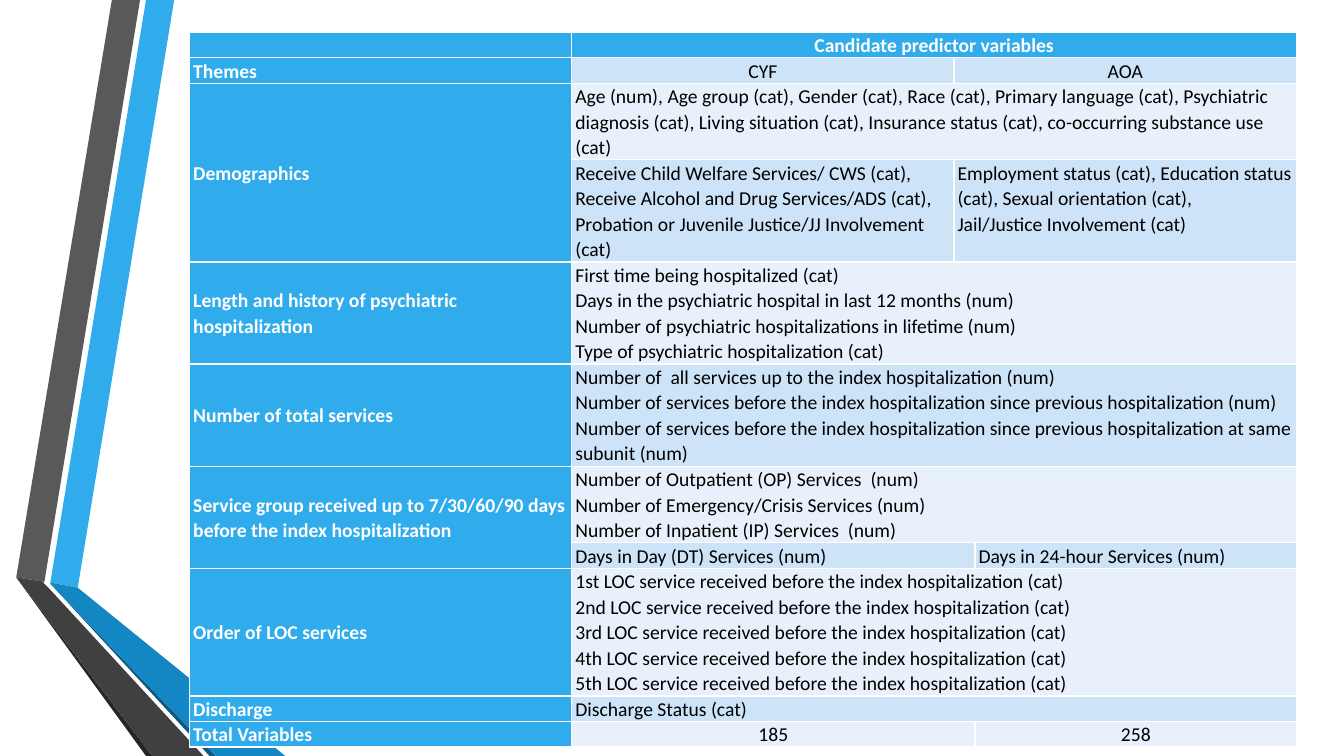
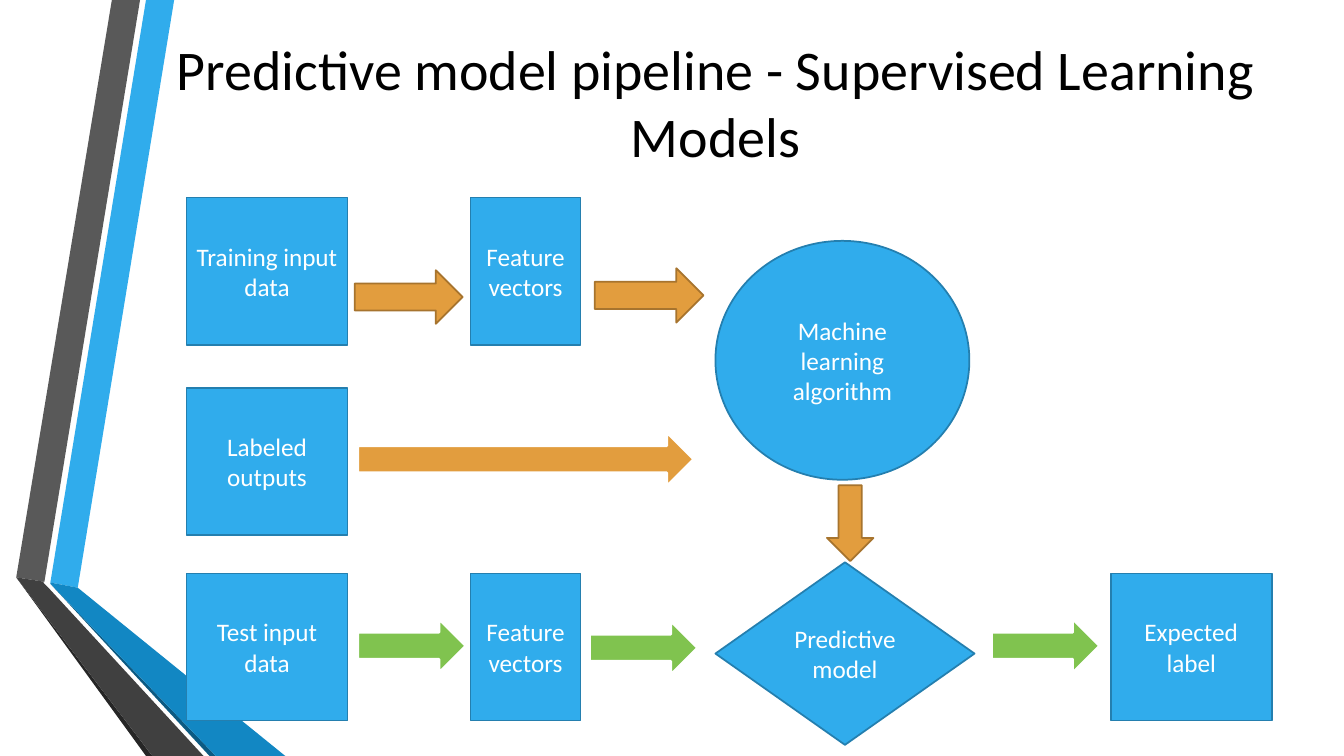
"""Build two slides: the candidate predictor table and the predictive model pipeline."""
from lxml.etree import SubElement
from pptx import Presentation
from pptx.dml.color import RGBColor
from pptx.enum.shapes import MSO_SHAPE
from pptx.enum.text import MSO_ANCHOR, PP_ALIGN
from pptx.oxml.ns import qn
from pptx.util import Cm, Pt

COLORS = {
    "blue": "30ACEC", "blue edge": "247FAF", "deep blue": "1287C3", "navy": "0C5A82",
    "gray": "595959", "dark gray": "404040", "charcoal": "262626",
    "band": "CDE3F8", "pale band": "E8F1FB",
    "orange": "E29D3E", "orange edge": "A7742E", "green": "80C34F",
    "white": "FFFFFF", "black": "000000",
}
TITLE = {"name": "Calibri", "size": Pt(40), "bold": False}
NODE = {"name": "Calibri", "size": Pt(18), "bold": False}
THEME = {"name": "Calibri", "size": Pt(14), "bold": True}
VARIABLE = {"name": "Calibri", "size": Pt(14), "bold": False}


def write(frame, text, font_format, color, align=PP_ALIGN.CENTER, spacing=None):
    frame.text = text
    frame.word_wrap = True
    for paragraph in frame.paragraphs:
        paragraph.alignment = align
        paragraph.line_spacing = spacing
        for attribute, value in font_format.items():
            setattr(paragraph.font, attribute, value)
        paragraph.font.color.rgb = RGBColor.from_string(COLORS[color])


def paint(shape, fill, edge=None, width=1.25):
    shape.shadow.inherit = False
    shape.fill.solid()
    shape.fill.fore_color.rgb = RGBColor.from_string(COLORS[fill])
    if edge:
        shape.line.color.rgb = RGBColor.from_string(COLORS[edge])
        shape.line.width = Pt(width)
    else:
        shape.line.fill.background()


deck = Presentation()
deck.slide_width, deck.slide_height = Cm(33.87), Cm(19.05)
blank = deck.slide_layouts[6]
for placeholder in list(blank.placeholders):
    blank.shapes.element.remove(placeholder.element)
predictors = deck.slides.add_slide(blank)
pipeline = deck.slides.add_slide(blank)

ribbons = [
    ("blue", [(1.27, 14.68), (1.96, 14.81), (4.39, 0), (3.68, 0)]),
    ("gray", [(3.53, 0), (2.82, 0), (0.41, 14.55), (1.12, 14.66)]),
    ("charcoal", [(0.41, 14.55), (3.68, 19.05), (3.84, 19.05)]),
    ("navy", [(1.27, 14.71), (5.28, 19.05), (5.44, 19.05)]),
    ("deep blue", [(1.27, 14.71), (5.44, 19.05), (7.19, 19.05), (1.96, 14.81), (1.27, 14.68)]),
    ("dark gray", [(5.13, 19.05), (1.22, 14.81), (1.09, 14.68), (1.12, 14.66),
                   (0.41, 14.55), (3.84, 19.05)]),
]
for color, corners in ribbons:
    points = [(Cm(x), Cm(y)) for x, y in corners]
    outline = predictors.shapes.build_freeform(*points[0])
    outline.add_line_segments(points[1:], close=True)
    ribbon = outline.convert_to_shape()
    paint(ribbon, color)
    blank.shapes.element.append(ribbon.element)

column_widths = [9.63, 9.63, 0.53, 8.11]
line_height = 0.64
rows = [
    (1, "", [(1, 3, "Candidate predictor variables")]),
    (1, "Themes", [(1, 1, "CYF"), (2, 3, "AOA")]),
    (3, "Demographics", [
        (1, 3, "Age (num), Age group (cat), Gender (cat), Race (cat), Primary language (cat), "
               "Psychiatric diagnosis (cat), Living situation (cat), Insurance status (cat), "
               "co-occurring substance use (cat)")]),
    (4, None, [
        (1, 1, "Receive Child Welfare Services/ CWS (cat), Receive Alcohol and Drug "
               "Services/ADS (cat), Probation or Juvenile Justice/JJ Involvement (cat)"),
        (2, 3, "Employment status (cat), Education status (cat), Sexual orientation (cat),\n"
               "Jail/Justice Involvement (cat)")]),
    (4, "Length and history of psychiatric hospitalization", [
        (1, 3, "First time being hospitalized (cat)\n"
               "Days in the psychiatric hospital in last 12 months (num)\n"
               "Number of psychiatric hospitalizations in lifetime (num)\n"
               "Type of psychiatric hospitalization (cat)")]),
    (4, "Number of total services", [
        (1, 3, "Number of  all services up to the index hospitalization (num)\n"
               "Number of services before the index hospitalization since previous "
               "hospitalization (num)\n"
               "Number of services before the index hospitalization since previous "
               "hospitalization at same subunit (num)")]),
    (3, "Service group received up to 7/30/60/90 days before the index hospitalization", [
        (1, 3, "Number of Outpatient (OP) Services  (num)\n"
               "Number of Emergency/Crisis Services (num)\n"
               "Number of Inpatient (IP) Services  (num)")]),
    (1, None, [(1, 2, "Days in Day (DT) Services (num)"),
               (3, 3, "Days in 24-hour Services (num)")]),
    (5, "Order of LOC services", [
        (1, 3, "\n".join(f"{order} LOC service received before the index hospitalization (cat)"
                         for order in ("1st", "2nd", "3rd", "4th", "5th")))]),
    (1, "Discharge", [(1, 3, "Discharge Status (cat)")]),
    (1, "Total Variables", [(1, 2, "185"), (3, 3, "258")]),
]
centered_rows = {0, 1, len(rows) - 1}
table = predictors.shapes.add_table(
    len(rows), len(column_widths), Cm(4.78), Cm(0.81), Cm(sum(column_widths)),
    Cm(line_height * sum(lines for lines, _, _ in rows))).table
table.first_col = True
table.horz_banding = False
for column, width in zip(table.columns, column_widths):
    column.width = Cm(width)

for index, (lines, theme, variables) in enumerate(rows):
    table.rows[index].height = Cm(line_height * lines)
    band = "blue" if index == 0 else "band" if index % 2 else "pale band"
    for column in range(len(column_widths)):
        cell = table.cell(index, column)
        cell.margin_left = cell.margin_right = Cm(0.09)
        cell.margin_top = cell.margin_bottom = 0
        cell.fill.solid()
        cell.fill.fore_color.rgb = RGBColor.from_string(COLORS[band if column else "blue"])
        write(cell.text_frame, "", VARIABLE, "black")
    if theme is None:
        table.cell(index - 1, 0).merge(table.cell(index, 0))
    else:
        heading = table.cell(index, 0)
        heading.vertical_anchor = MSO_ANCHOR.MIDDLE
        write(heading.text_frame, theme, THEME, "white", PP_ALIGN.LEFT, 1.07)
    for first, last, text in variables:
        cell = table.cell(index, first)
        if last > first:
            cell.merge(table.cell(index, last))
        write(cell.text_frame, text, VARIABLE if index else THEME,
              "black" if index else "white",
              PP_ALIGN.CENTER if index in centered_rows else PP_ALIGN.LEFT, 1.07)

title = pipeline.shapes.add_textbox(Cm(4.11), Cm(0.66), Cm(27.84), Cm(3.81)).text_frame
title.vertical_anchor = MSO_ANCHOR.MIDDLE
write(title, "Predictive model pipeline - Supervised Learning Models", TITLE, "black")

data_left, vectors_left, model_left, label_left = 4.7, 11.86, 18.03, 27.99
training_top, outputs_top, test_top = 4.98, 9.78, 14.45
data_size, vectors_size = (4.06, 3.71), (2.77, 3.71)
box = MSO_SHAPE.RECTANGLE
nodes = [
    ("Training input data", box, data_left, training_top, data_size),
    ("Labeled outputs", box, data_left, outputs_top, data_size),
    ("Feature vectors", box, vectors_left, training_top, vectors_size),
    ("Test input data", box, data_left, test_top, data_size),
    ("Feature vectors", box, vectors_left, test_top, vectors_size),
    ("Machine learning algorithm", MSO_SHAPE.OVAL, model_left, 6.07, (6.4, 6.02)),
    ("Predictive model", MSO_SHAPE.FLOWCHART_DECISION, model_left, 14.17, (6.53, 4.6)),
    ("Expected label", box, label_left, test_top, data_size),
]
for text, kind, left, top, (width, height) in nodes:
    node = pipeline.shapes.add_shape(kind, Cm(left), Cm(top), Cm(width), Cm(height))
    paint(node, "blue", "blue edge")
    node.text_frame.vertical_anchor = MSO_ANCHOR.MIDDLE
    write(node.text_frame, text, NODE, "white")

edged_orange = ("orange", "orange edge", 1.25)
plain_orange = ("orange", "white", 1.75)
plain_green = ("green", "white", 1.75)
steps = [
    (8.94, 6.81, 2.72, 1.35, 0, edged_orange),
    (9.02, 10.9, 8.46, 1.35, 0, plain_orange),
    (14.99, 6.76, 2.74, 1.37, 0, edged_orange),
    (9.02, 15.6, 2.72, 1.35, 0, plain_green),
    (14.86, 15.65, 2.72, 1.35, 0, plain_green),
    (24.99, 15.6, 2.72, 1.35, 0, plain_green),
    (20.47, 12.6, 1.91, 1.17, 90, edged_orange),
]
for left, top, width, height, rotation, look in steps:
    step = pipeline.shapes.add_shape(
        MSO_SHAPE.RIGHT_ARROW, Cm(left), Cm(top), Cm(width), Cm(height))
    step.rotation = rotation
    paint(step, *look)

deck.save("out.pptx")
